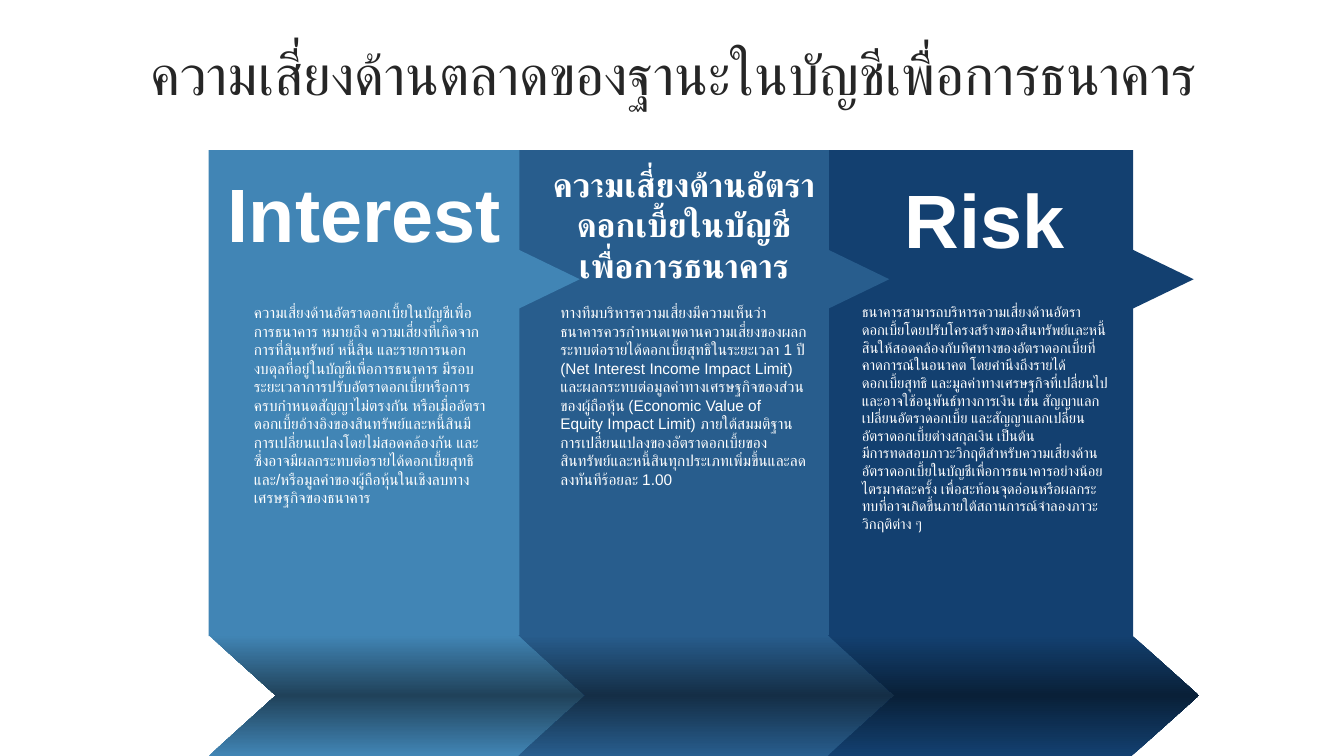
"""Build the slide on market risk in the banking book."""
from copy import deepcopy
from dataclasses import dataclass

from pptx import Presentation
from pptx.dml.color import RGBColor
from pptx.enum.shapes import MSO_SHAPE
from pptx.enum.text import MSO_ANCHOR, MSO_AUTO_SIZE, PP_ALIGN
from pptx.oxml.ns import qn
from pptx.util import Inches, Pt


@dataclass(frozen=True)
class Theme:
    """Hold the colours, font and type sizes."""
    font: str = "Arial"
    ink: str = "262626"
    white: str = "FFFFFF"
    fills: tuple = ("4185B5", "285D8D", "134070")
    shades: tuple = ("20425A", "142E46", "092038")
    title: float = 40
    word: float = 54
    head: float = 24
    body: float = 11
    small: float = 10.5


THEME = Theme()
LEFT, STEP, TOP, BASE = 2.07, 3.07, 1.49, 6.31
WIDTHS = (3.08, 3.08, 3.03)
TITLE = "ความเสี่ยงด้านตลาดของฐานะในบัญชีเพื่อการธนาคาร"
HEAD = "ความเสี่ยงด้านอัตราดอกเบี้ยในบัญชีเพื่อการธนาคาร"
BODIES = (
    ((2.42, 2.96, 2.54, 3.21), THEME.body, (
        "ความเสี่ยงด้านอัตราดอกเบี้ยในบัญชีเพื่อการธนาคาร หมายถึง "
        "ความเสี่ยงที่เกิดจากการที่สินทรัพย์ หนี้สิน "
        "และรายการนอกงบดุลที่อยู่ในบัญชีเพื่อการธนาคาร "
        "มีรอบระยะเวลาการปรับอัตราดอกเบี้ยหรือการครบกำหนดสัญญาไม่ตรงกัน "
        "หรือเมื่ออัตราดอกเบี้ยอ้างอิงของสินทรัพย์และหนี้สินมีการเปลี่ยนแปลงโดยไม่สอดคล้องกัน "
        "และซึ่งอาจมีผลกระทบต่อรายได้ดอกเบี้ยสุทธิ "
        "และ/หรือมูลค่าของผู้ถือหุ้นในเชิงลบทางเศรษฐกิจของธนาคาร",)),
    ((5.46, 2.96, 2.64, 2.88), THEME.body, (
        "ทางทีมบริหารความเสี่ยงมีความเห็นว่าธนาคารควรกำหนดเพดานความเสี่ยง"
        "ของผลกระทบต่อรายได้ดอกเบี้ยสุทธิในระยะเวลา 1 ปี "
        "(Net Interest Income Impact Limit) "
        "และผลกระทบต่อมูลค่าทางเศรษฐกิจของส่วนของผู้ถือหุ้น "
        "(Economic Value of Equity Impact Limit) "
        "ภายใต้สมมติฐานการเปลี่ยนแปลงของอัตราดอกเบี้ยของสินทรัพย์และหนี้สิน"
        "ทุกประเภทเพิ่มขึ้นและลดลงทันทีร้อยละ 1.00",)),
    ((8.45, 2.96, 2.64, 3.56), THEME.small, (
        "ธนาคารสามารถบริหารความเสี่ยงด้านอัตราดอกเบี้ยโดยปรับโครงสร้าง"
        "ของสินทรัพย์และหนี้สินให้สอดคล้องกับทิศทางของอัตราดอกเบี้ย"
        "ที่คาดการณ์ในอนาคต โดยคำนึงถึงรายได้ดอกเบี้ยสุทธิ "
        "และมูลค่าทางเศรษฐกิจที่เปลี่ยนไป และอาจใช้อนุพันธ์ทางการเงิน เช่น "
        "สัญญาแลกเปลี่ยนอัตราดอกเบี้ย "
        "และสัญญาแลกเปลี่ยนอัตราดอกเบี้ยต่างสกุลเงิน เป็นต้น",
        "มีการทดสอบภาวะวิกฤติสำหรับความเสี่ยงด้านอัตราดอกเบี้ย"
        "ในบัญชีเพื่อการธนาคารอย่างน้อยไตรมาศละครั้ง "
        "เพื่อสะท้อนจุดอ่อนหรือผลกระทบที่อาจเกิดขึ้น"
        "ภายใต้สถานการณ์จำลองภาวะวิกฤติต่าง ๆ")),
)


def paint(shape, color):
    """Give a shape a flat fill without line or shadow."""
    shape.shadow.inherit = False
    shape.line.fill.background()
    shape.fill.solid()
    shape.fill.fore_color.rgb = RGBColor.from_string(color)


def style(par, size, color, bold=False, align=PP_ALIGN.LEFT):
    """Set the look of one paragraph."""
    par.alignment = align
    par.font.name = THEME.font
    par.font.size = Pt(size)
    par.font.bold = bold
    par.font.color.rgb = RGBColor.from_string(color)


def add_title(slide):
    """Place and fill the title."""
    title = slide.shapes.title
    title.left, title.top = Inches(0.35), Inches(0.37)
    title.width, title.height = Inches(12.66), Inches(0.79)
    frame = title.text_frame
    frame.text = TITLE
    frame.auto_size = MSO_AUTO_SIZE.NONE
    frame.vertical_anchor = MSO_ANCHOR.MIDDLE
    style(frame.paragraphs[0], THEME.title, THEME.ink, align=PP_ALIGN.CENTER)
    frame.paragraphs[0].line_spacing = 0.9


def add_panel(slide, left, width, color):
    """Draw a column with a pointer on its right side."""
    right = left + width
    points = [(right, TOP), (right, 2.48), (right + 0.6, 2.77),
              (right, 3.06), (right, BASE), (left, BASE)]
    form = slide.shapes.build_freeform(Inches(left), Inches(TOP))
    form.add_line_segments([(Inches(x), Inches(y)) for x, y in points])
    paint(form.convert_to_shape(), color)


def add_arrow(slide, box, bend, color):
    """Draw a flat chevron."""
    arrow = slide.shapes.add_shape(MSO_SHAPE.CHEVRON, *map(Inches, box))
    arrow.adjustments[0] = bend
    paint(arrow, color)
    return arrow


def shade(shape, color, dark):
    """Fill a shape with a vertical blend that darkens midway."""
    shape.fill.gradient()
    shape.fill.gradient_angle = 90
    stops = shape._element.spPr.find(".//" + qn("a:gsLst"))
    stops.insert(1, deepcopy(stops[0]))
    blend = zip(shape.fill.gradient_stops, (0, 0.5, 1), (color, dark, color))
    for stop, place, tone in blend:
        stop.position = place
        stop.color.rgb = RGBColor.from_string(tone)


def add_text(slide, box, texts, size, bold=False, align=PP_ALIGN.LEFT,
             anchor=MSO_ANCHOR.TOP):
    """Add a wrapped box of white text."""
    frame = slide.shapes.add_textbox(*map(Inches, box)).text_frame
    frame.word_wrap = True
    frame.vertical_anchor = anchor
    frame.text = "\n".join(texts)
    for par in frame.paragraphs:
        style(par, size, THEME.white, bold, align)


def main():
    """Build and save the slide."""
    deck = Presentation()
    deck.slide_width, deck.slide_height = Inches(13.33), Inches(7.5)
    slide = deck.slides.add_slide(deck.slide_layouts[5])
    add_title(slide)
    for i in (2, 1, 0):
        add_panel(slide, LEFT + i * STEP, WIDTHS[i], THEME.fills[i])
    for i, width in enumerate((3.89, 3.89, 3.68)):
        box = (LEFT + i * STEP, 6.3, width, 1.2)
        arrow = add_arrow(slide, box, 0.555, THEME.fills[i])
        shade(arrow, THEME.fills[i], THEME.shades[i])
    add_text(slide, (5.38, 1.77, 2.81, 0.91), [HEAD], THEME.head, True,
             PP_ALIGN.CENTER, MSO_ANCHOR.MIDDLE)
    for left, top, color in ((5.93, 1.84, THEME.fills[1]),
                             (8.98, 2.34, THEME.fills[2])):
        add_arrow(slide, (left, top, 0.11, 0.1), 0.652, color)
    for box, size, texts in BODIES:
        add_text(slide, box, texts, size)
    for left, top, word in ((2.04, 1.61, "Interest"), (8.19, 1.67, "Risk")):
        add_text(slide, (left, top, 3.15, 1.01), [word], THEME.word, True,
                 PP_ALIGN.CENTER)
    deck.save("out.pptx")


if __name__ == "__main__":
    main()
